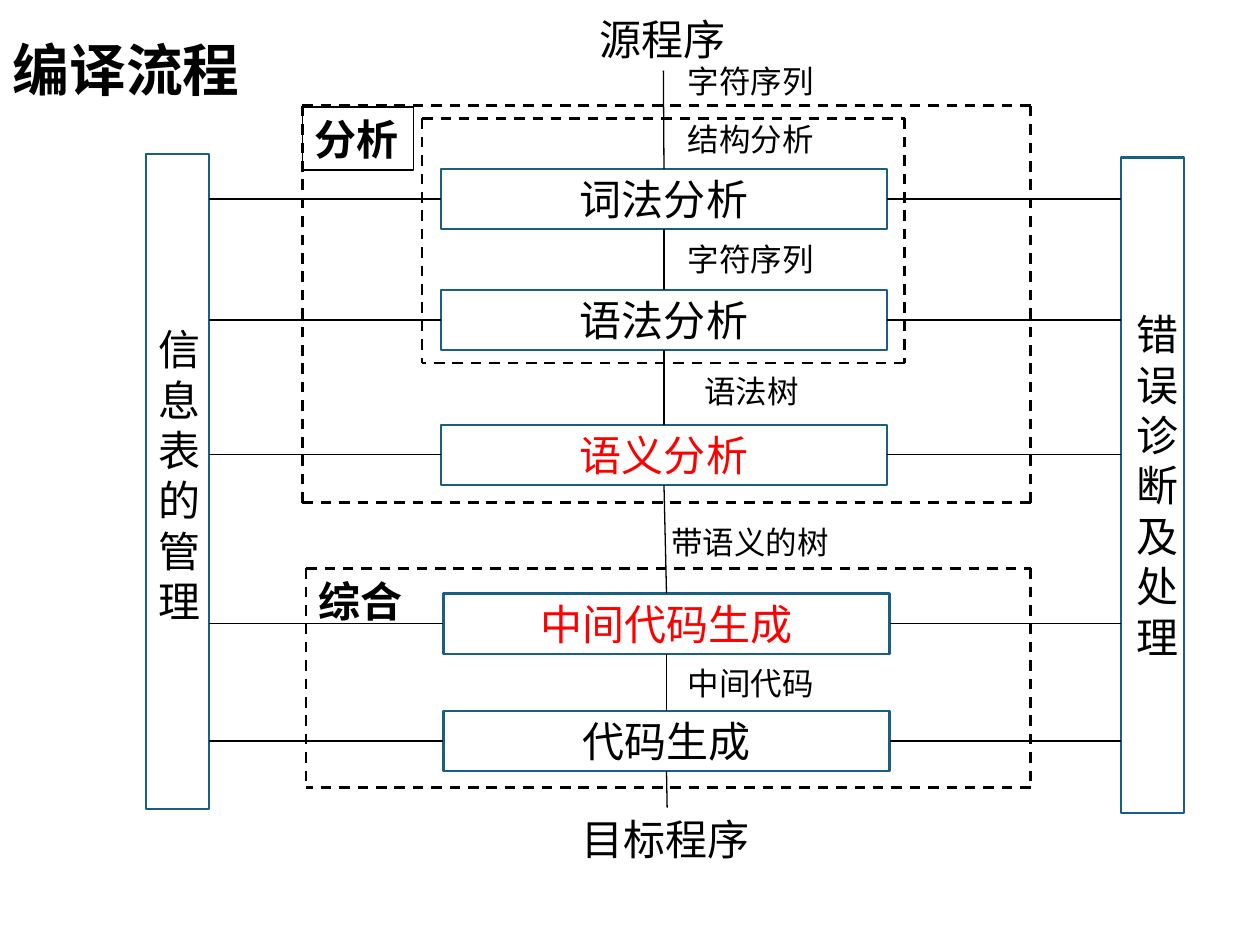
from itertools import pairwise

from lxml import etree
from pptx import Presentation
from pptx.dml.color import RGBColor
from pptx.enum import dml, shapes, text
from pptx.oxml.ns import qn
from pptx.util import Inches, Pt

BLACK = RGBColor(0x00, 0x00, 0x00)
RED = RGBColor(0xFF, 0x00, 0x00)
BLUE = RGBColor(0x19, 0x5F, 0x84)

presentation = Presentation()
presentation.slide_width = Inches(10)
presentation.slide_height = Inches(7.5)
slide = presentation.slides.add_slide(presentation.slide_layouts[5])


def add_box(words, left, top, width, height, size=24, color=BLACK, bold=False,
            line=None, line_width=1.25, wrap=False, align=text.PP_ALIGN.LEFT):
    """Add a label, or an outlined rectangle when a line colour is given."""
    place = [Inches(value) for value in (left, top, width, height)]
    if line is None:
        shape = slide.shapes.add_textbox(*place)
    else:
        shape = slide.shapes.add_shape(shapes.MSO_SHAPE.RECTANGLE, *place)
        shape.shadow.inherit = False
        shape.fill.background()
        shape.line.color.rgb = line
        shape.line.width = Pt(line_width)
    frame = shape.text_frame
    frame.word_wrap = wrap
    frame.vertical_anchor = text.MSO_ANCHOR.MIDDLE if wrap else text.MSO_ANCHOR.TOP
    paragraph = frame.paragraphs[0]
    paragraph.text = words
    paragraph.alignment = align
    font_format = {"name": "Calibri", "size": Pt(size), "bold": bold}
    for name, value in font_format.items():
        setattr(paragraph.font, name, value)
    paragraph.font.color.rgb = color
    return shape


def add_line(start=(0, 0), end=(0, 0), width=0.75, dashed=False):
    points = [Inches(value) for value in (*start, *end)]
    connector = slide.shapes.add_connector(shapes.MSO_CONNECTOR.STRAIGHT, *points)
    connector.line.color.rgb = BLACK
    connector.line.width = Pt(width)
    if dashed:
        connector.line.dash_style = dml.MSO_LINE.DASH
    etree.SubElement(connector._element.spPr, qn("a:effectLst"))
    return connector


# Title
title = slide.shapes.title
title.left, title.top = Inches(0), Inches(0.04)
title.width, title.height = Inches(2.17), Inches(1.02)
title.text_frame.text = "编译流程"
title.text_frame.auto_size = text.MSO_AUTO_SIZE.NONE
title.text_frame.vertical_anchor = text.MSO_ANCHOR.MIDDLE
heading = title.text_frame.paragraphs[0]
heading.alignment = text.PP_ALIGN.LEFT
for name, value in {"name": "Arial", "size": Pt(32.4), "bold": True}.items():
    setattr(heading.font, name, value)
heading.font.color.rgb = BLACK

# Side bars, one character to a line
table_bar = add_box("信息表的管理", 1.16, 1.22, 0.5, 5.2, line=BLUE, wrap=True)
table_bar.text_frame.margin_bottom = Inches(0.15)
error_bar = add_box("错误诊断及处理", 8.9, 1.25, 0.5, 5.2, line=BLUE, wrap=True)
error_bar.text_frame.margin_left = Inches(0.12)
error_bar.text_frame.margin_right = Inches(0.08)

# Compiler stages between source and target program
source_program = add_box("源程序", 4.66, 0.06, 1.21, 0.5)
target_program = add_box("目标程序", 4.52, 6.41, 1.55, 0.5)
stages = [
    add_box(words, left, top, 3.54, 0.48, color=color, line=BLUE, wrap=True,
            align=text.PP_ALIGN.CENTER)
    for words, left, top, color in [
        ("词法分析", 3.5, 1.34, BLACK),
        ("语法分析", 3.5, 2.3, BLACK),
        ("语义分析", 3.5, 3.37, RED),
        ("中间代码生成", 3.52, 4.71, RED),
        ("代码生成", 3.52, 5.64, BLACK),
    ]
]

for upper, lower in pairwise([source_program, *stages, target_program]):
    connector = add_line()
    connector.begin_connect(upper, 2)
    connector.end_connect(lower, 0)

for stage in stages:
    middle = stage.top + stage.height // 2
    for site, bar_edge in [(1, table_bar.left + table_bar.width), (3, error_bar.left)]:
        connector = add_line()
        connector.begin_connect(stage, site)
        connector.end_x, connector.end_y = bar_edge, middle

# Dashed frames: analysis, synthesis, structure analysis
for left, top, right, bottom in [
    (2.4, 0.84, 8.18, 3.99),
    (2.43, 4.51, 8.18, 6.25),
    (3.35, 0.94, 7.18, 2.88),
]:
    for start, end in [
        ((left, top), (right, top)),
        ((right, top), (right, bottom)),
        ((right, bottom), (left, bottom)),
        ((left, top), (left, bottom)),
    ]:
        add_line(start, end, width=1.5, dashed=True)

add_box("分析", 2.4, 0.85, 0.88, 0.5, bold=True, line=BLACK, line_width=0.75)
add_box("综合", 2.43, 4.52, 0.88, 0.5, bold=True)

# Data passed between stages
for words, left, top, width in [
    ("字符序列", 5.36, 0.44, 1.21),
    ("结构分析", 5.36, 0.9, 1.21),
    ("字符序列", 5.36, 1.86, 1.21),
    ("语法树", 5.49, 2.9, 0.96),
    ("带语义的树", 5.23, 4.1, 1.46),
    ("中间代码", 5.36, 5.22, 1.21),
]:
    add_box(words, left, top, width, 0.4, size=18)

presentation.save("out.pptx")
